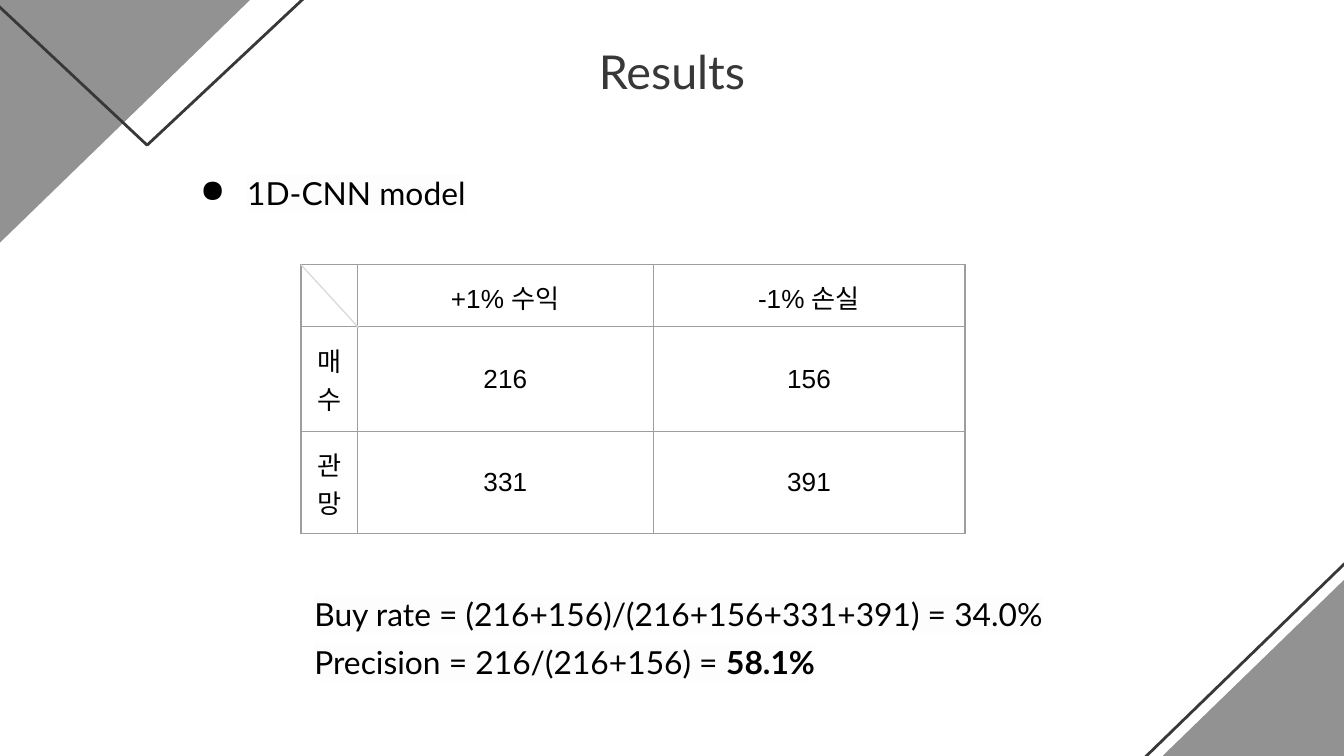
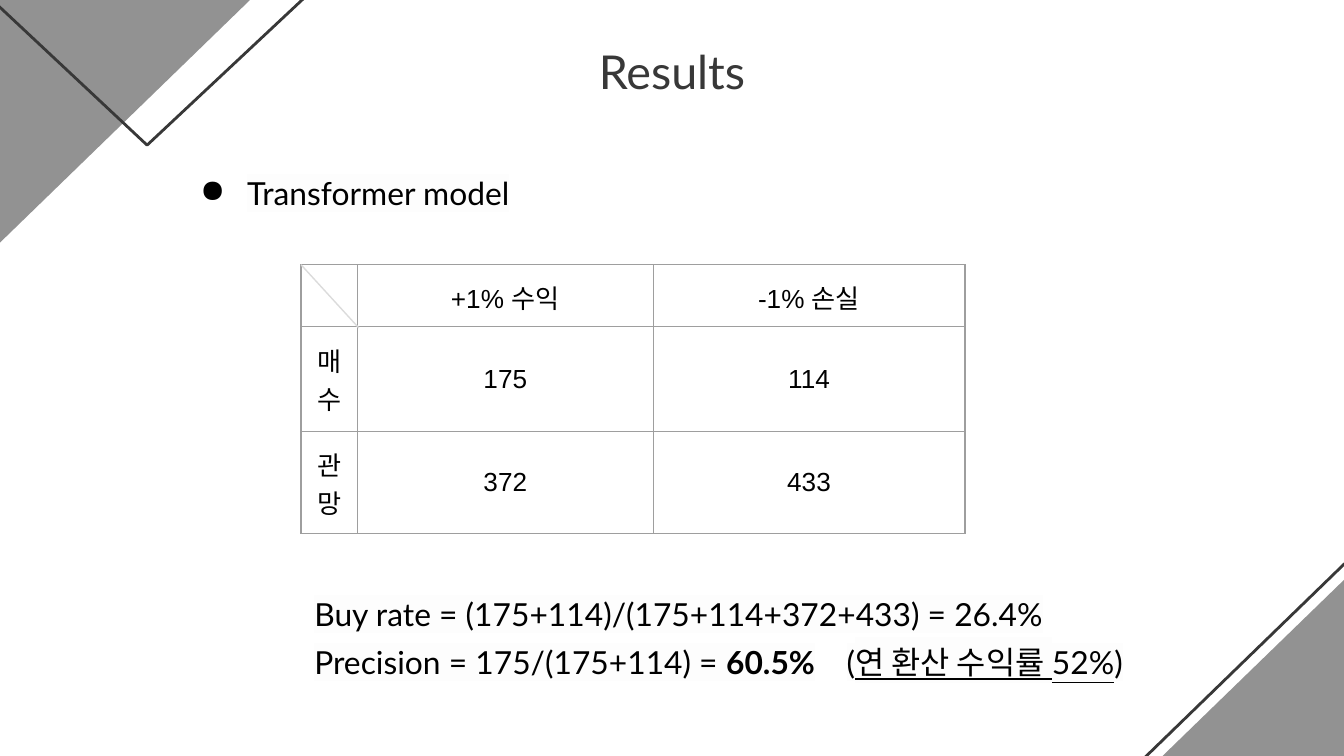
from lxml import etree
from pptx import Presentation
from pptx import util as u
from pptx.dml.color import RGBColor
from pptx.enum import shapes, text
from pptx.oxml.ns import qn

INK, GREY, BLACK = "383838", "929292", "000000"
RULE, SLASH, MARK, PAPER = "9E9E9E", "DBDBDB", "FDFDFD", "FFFFFF"
HEAD, BODY = "Lato", "Arial"
PAD = 1       # text inset in grid units
LEAD = 1.26   # line spacing of body text


def hue(code):
    return RGBColor.from_string(code)


def unit(n):
    """One grid step: the slide is 100 columns by 56.25 rows."""
    return u.Inches(n / 10)


def node(parent, tag, **attrs):
    return etree.SubElement(parent, qn(tag), attrs)


def write(para, words, size=17, font=HEAD, color=BLACK, bold=False,
          line=False, mark=None):
    """Add one run of text with its format."""
    run = para.add_run()
    run.text = words
    f = run.font
    f.size, f.name, f.bold, f.underline = u.Pt(size), font, bold, line
    f.color.rgb = hue(color)
    if mark:
        glow = etree.Element(qn("a:highlight"))
        node(glow, "a:srgbClr", val=mark)
        run._r.rPr.find(qn("a:latin")).addprevious(glow)


class Deck:
    def __init__(self):
        self.prs = Presentation()
        self.prs.slide_width = unit(100)
        self.prs.slide_height = unit(56.25)
        self.slide = None

    def page(self, title):
        """Start a slide with the shared corners and title."""
        self.slide = self.prs.slides.add_slide(self.prs.slide_layouts[6])
        back = self.slide.background.fill
        back.solid()
        back.fore_color.rgb = hue(PAPER)
        kind = shapes.MSO_SHAPE
        wedge, peak = kind.RIGHT_TRIANGLE, kind.ISOSCELES_TRIANGLE
        self.corner(wedge, 76.8, 28.4, 37.2, 36.1, line=INK)
        self.corner(wedge, 78, 28.4, 37.2, 36.1, fill=GREY)
        self.corner(wedge, -8.3, -10, 37.2, 36.1, fill=GREY, turn=180)
        self.corner(peak, -18.4, -16.7, 58.7, 27.5, line=INK, turn=180)
        para = self.box(0, 2.2, 100, 7.6).paragraphs[0]
        para.alignment = text.PP_ALIGN.CENTER
        write(para, title, size=25, color=INK)

    def corner(self, kind, x, y, w, h, fill=None, line=None, turn=0):
        """A mirrored triangle, either filled or outlined."""
        shp = self.slide.shapes.add_shape(
            kind, unit(x), unit(y), unit(w), unit(h))
        shp.shadow.inherit = False
        shp.rotation = turn
        shp.element.spPr.get_or_add_xfrm().set("flipH", "1")
        if fill:
            shp.fill.solid()
            shp.fill.fore_color.rgb = hue(fill)
        else:
            shp.fill.background()
        if line:
            shp.line.color.rgb = hue(line)
            shp.line.width = u.Pt(1.5)
        else:
            shp.line.fill.background()

    def box(self, x, y, w, h):
        frame = self.slide.shapes.add_textbox(
            unit(x), unit(y), unit(w), unit(h)).text_frame
        frame.word_wrap = True
        frame.margin_left = frame.margin_right = unit(PAD)
        frame.margin_top = frame.margin_bottom = unit(PAD)
        return frame

    def bullet(self, words, x, y, w, h):
        para = self.box(x, y, w, h).paragraphs[0]
        para.line_spacing = LEAD
        props = para._p.get_or_add_pPr()
        props.set("marL", str(unit(5)))
        props.set("indent", str(-unit(3.5)))
        node(node(props, "a:buClr"), "a:srgbClr", val=BLACK)
        node(props, "a:buChar", char="●")
        write(para, words, mark=MARK)

    def lines(self, rows, x, y, w, h, stop):
        """Body lines; each is a list of (words, format) runs."""
        frame = self.box(x, y, w, h)
        for i, runs in enumerate(rows):
            para = frame.add_paragraph() if i else frame.paragraphs[0]
            para.line_spacing = LEAD
            tabs = node(para._p.get_or_add_pPr(), "a:tabLst")
            node(tabs, "a:tab", pos=str(unit(stop)), algn="l")
            for words, form in runs:
                write(para, words, mark=MARK, **form)

    def table(self, data, x, y, cols, rows):
        grid = self.slide.shapes.add_table(
            len(rows), len(cols), unit(x), unit(y),
            unit(sum(cols)), unit(sum(rows))).table
        grid.first_row = grid.horz_banding = False
        for col, w in zip(grid.columns, cols):
            col.width = unit(w)
        for row, h, words in zip(grid.rows, rows, data):
            row.height = unit(h)
            for cell, word in zip(row.cells, words):
                self.cell(cell, word)

    def cell(self, cell, word):
        cell.fill.background()
        cell.vertical_anchor = text.MSO_ANCHOR.MIDDLE
        cell.margin_left = cell.margin_right = unit(PAD)
        cell.margin_top = cell.margin_bottom = unit(PAD)
        para = cell.text_frame.paragraphs[0]
        para.alignment = text.PP_ALIGN.CENTER
        para.font.size = u.Pt(14)
        if word:
            write(para, word, size=14, font=BODY)
        # Borders come before the fill
        props = cell._tc.get_or_add_tcPr()
        for i, side in enumerate("LRTB"):
            edge = etree.Element(qn("a:ln" + side), w=str(u.Pt(0.75)))
            node(node(edge, "a:solidFill"), "a:srgbClr", val=RULE)
            props.insert(i, edge)

    def rule(self, x, y, w, h, color):
        link = self.slide.shapes.add_connector(
            shapes.MSO_CONNECTOR.STRAIGHT,
            unit(x), unit(y), unit(x + w), unit(y + h))
        link.line.color.rgb = hue(color)
        link.line.width = u.Pt(0.75)
        node(link.element.spPr, "a:effectLst")


def result(deck, model, gain, loss, rate, score, extra=()):
    """One result slide; gain and loss hold (buy, wait) counts."""
    left, top = 22.4, 19.7
    deck.page("Results")
    deck.bullet(model, 12.4, 11.2, 79.2, 11.3)
    data = [("", "+1% 수익", "-1% 손실")]
    data += [(name, str(g), str(l))
             for name, g, l in zip(("매수", "관망"), gain, loss)]
    deck.table(data, left, top, (4.2, 22, 23.2), (4.6, 7.8, 7.6))
    deck.rule(left, top, 4.3, 4.7, SLASH)
    buy = f"{gain[0]}+{loss[0]}"
    total = f"{buy}+{gain[1]}+{loss[1]}"
    deck.lines([
        [(f"Buy rate = ({buy})/({total}) = {rate}", {})],
        [(f"Precision = {gain[0]}/({buy}) = ", {}),
         (score, {"bold": True}), *extra],
    ], left, 42.5, 79.2, 14.9, stop=39.6)


deck = Deck()
result(deck, "1D-CNN model", (216, 331), (156, 391), "34.0%", "58.1%")
result(deck, "Transformer model", (175, 372), (114, 433), "26.4%", "60.5%",
       extra=[("\t(", {}), ("연 환산 수익률 52%", {"line": True}), (")", {})])
deck.prs.save("out.pptx")
